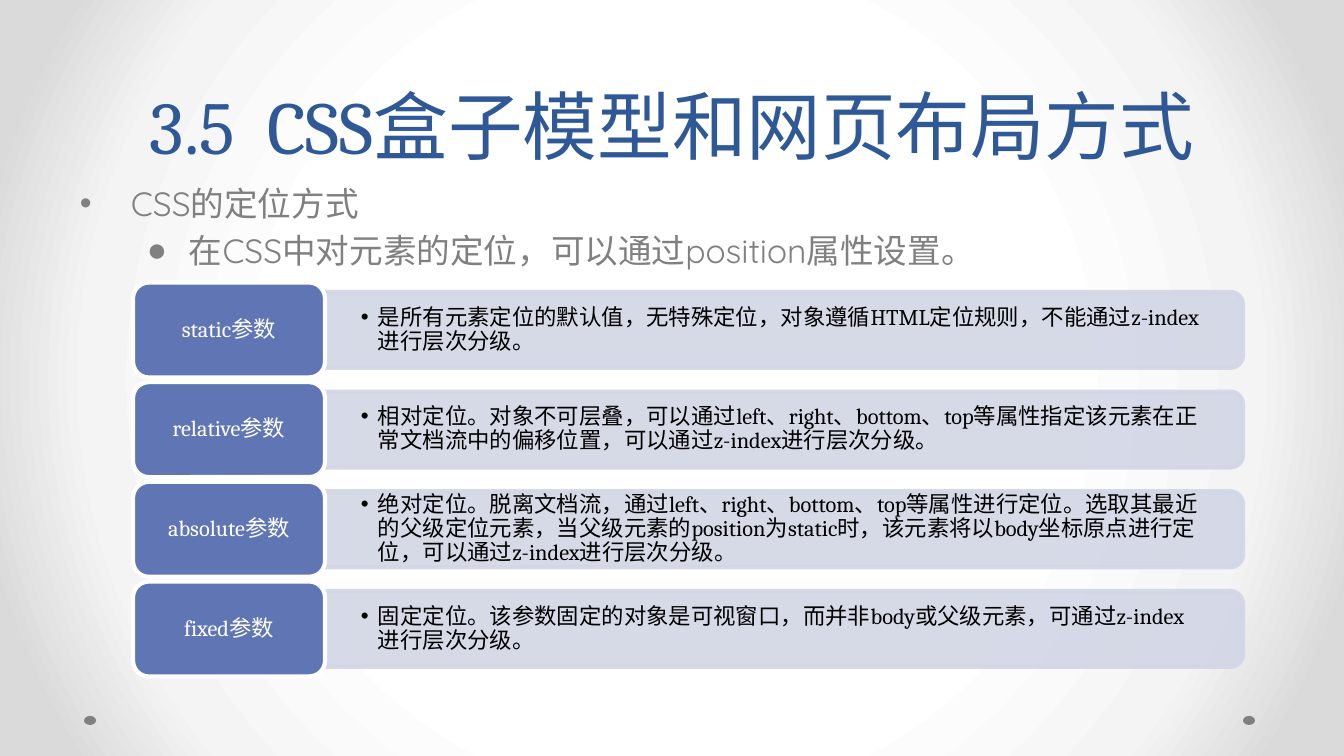
from lxml import etree
from pptx import Presentation, util as u
from pptx.dml.color import RGBColor
from pptx.enum import shapes, text
from pptx.oxml import parse_xml
from pptx.oxml.ns import nsdecls, qn

TITLE = "3.5  CSS盒子模型和网页布局方式"
INTRO = [
    ("CSS的定位方式", "•", 51, 51, 0),
    ("在CSS中对元素的定位，可以通过position属性设置。", "●", 109, 42, 3.6),
]
PARAMETERS = [
    ("static参数", "是所有元素定位的默认值，无特殊定位，对象遵循HTML定位规则，不能通过z-index进行层次分级。"),
    ("relative参数", "相对定位。对象不可层叠，可以通过left、right、bottom、top等属性指定该元素在正常文档流中的偏移位置，可以通过z-index进行层次分级。"),
    ("absolute参数", "绝对定位。脱离文档流，通过left、right、bottom、top等属性进行定位。选取其最近的父级定位元素，当父级元素的position为static时，该元素将以body坐标原点进行定位，可以通过z-index进行层次分级。"),
    ("fixed参数", "固定定位。该参数固定的对象是可视窗口，而并非body或父级元素，可通过z-index进行层次分级。"),
]
BACKGROUND = [(50, "FFFFFF"), (76, "F4F4F4"), (92, "DADADA")]

NAVY = RGBColor(0x2F, 0x58, 0x97)
GREY = RGBColor(0x80, 0x80, 0x80)
BLUE = RGBColor(0x60, 0x76, 0xB4)
PALE = RGBColor(0xD2, 0xD6, 0xE5)
WHITE = RGBColor(0xFF, 0xFF, 0xFF)
BLACK = RGBColor(0, 0, 0)

SLIDE_W, SLIDE_H = 1344, 756
LABEL_X, LABEL_W, LABEL_H = 133, 192, 95
BAR_X, BAR_W, BAR_H = 325, 918, 76
DETAIL_W, DETAIL_H = 914, 69
FIRST_MIDDLE, LAST_MIDDLE = 330, 629


def px(length):
    return u.Emu(round(length * 914400 / 134.4))


def box(x, y, w, h):
    return px(x), px(y), px(w), px(h)


def write(paragraph, words, size=12, font="Cambria", color=BLACK, align=text.PP_ALIGN.LEFT,
          spacing=None, before=0, bullet=None, margin=0, hanging=0):
    if bullet:
        props = paragraph._p.get_or_add_pPr()
        props.set("marL", str(px(margin)))
        props.set("indent", str(-px(hanging)))
        etree.SubElement(props, qn("a:buFont")).set("typeface", "Arial")
        etree.SubElement(props, qn("a:buChar")).set("char", bullet)
    paragraph.alignment = align
    paragraph.space_before = u.Pt(before)
    if spacing:
        paragraph.line_spacing = spacing
    run = paragraph.add_run()
    run.text = words
    run.font.size, run.font.name = u.Pt(size), font
    run.font.color.rgb = color


def set_frame(frame, anchor, across=13, down=7):
    frame.word_wrap = True
    frame.auto_size = text.MSO_AUTO_SIZE.NONE
    frame.vertical_anchor = anchor
    frame.margin_left = frame.margin_right = px(across)
    frame.margin_top = frame.margin_bottom = px(down)
    return frame


def add_shape(kind, place, fill, line=None):
    shape = slide.shapes.add_shape(kind, *place)
    shape.shadow.inherit = False
    shape.fill.solid()
    shape.fill.fore_color.rgb = fill
    if line is None:
        shape.line.fill.background()
    else:
        shape.line.color.rgb = line
        shape.line.width = u.Pt(2.25)
    return shape


def add_background():
    stops = "".join(f'<a:gs pos="{pos * 1000}"><a:srgbClr val="{color}"/></a:gs>'
                    for pos, color in BACKGROUND)
    slide.element.cSld.insert(0, parse_xml(
        f'<p:bg {nsdecls("p", "a")}><p:bgPr><a:gradFill rotWithShape="1"><a:gsLst>{stops}</a:gsLst>'
        '<a:path path="circle"><a:fillToRect l="50000" t="50000" r="50000" b="50000"/></a:path>'
        '</a:gradFill><a:effectLst/></p:bgPr></p:bg>'))


def add_parameter(name, detail, middle):
    bar = add_shape(shapes.MSO_SHAPE.ROUND_2_SAME_RECTANGLE,
                    box(BAR_X + (BAR_W - BAR_H) / 2, middle - BAR_W / 2, BAR_H, BAR_W), PALE, PALE)
    bar.rotation = 90
    for color in bar._element.spPr.iter(qn("a:srgbClr")):
        etree.SubElement(color, qn("a:alpha")).set("val", "90000")

    description = slide.shapes.add_textbox(*box(BAR_X, middle - DETAIL_H / 2, DETAIL_W, DETAIL_H))
    frame = set_frame(description.text_frame, text.MSO_ANCHOR.MIDDLE, 36, 19)
    write(frame.paragraphs[0], detail, spacing=0.9, bullet="•", margin=17, hanging=17)

    label = add_shape(shapes.MSO_SHAPE.ROUNDED_RECTANGLE,
                      box(LABEL_X, middle - LABEL_H / 2, LABEL_W, LABEL_H), BLUE, WHITE)
    frame = set_frame(label.text_frame, text.MSO_ANCHOR.MIDDLE, 7, 4)
    write(frame.paragraphs[0], name, color=WHITE, align=text.PP_ALIGN.CENTER, spacing=0.9)


deck = Presentation()
deck.slide_width, deck.slide_height = px(SLIDE_W), px(SLIDE_H)
slide = deck.slides.add_slide(deck.slide_layouts[5])
add_background()

for dot_x in (1243, 84):
    add_shape(shapes.MSO_SHAPE.OVAL, box(dot_x, 716, 12, 9), GREY)

title = slide.shapes.title
title.left, title.top, title.width, title.height = box(67, 0, 1210, 176)
write(set_frame(title.text_frame, text.MSO_ANCHOR.BOTTOM).paragraphs[0], TITLE, size=40,
      color=NAVY, align=text.PP_ALIGN.CENTER, spacing=u.Pt(58))

intro = slide.shapes.add_textbox(*box(67, 176, 1210, 117))
frame = set_frame(intro.text_frame, text.MSO_ANCHOR.TOP)
for index, (words, bullet, margin, hanging, before) in enumerate(INTRO):
    paragraph = frame.add_paragraph() if index else frame.paragraphs[0]
    write(paragraph, words, size=18, font="Quicksand", color=GREY, before=before,
          bullet=bullet, margin=margin, hanging=hanging)

pitch = (LAST_MIDDLE - FIRST_MIDDLE) / (len(PARAMETERS) - 1)
for row, (name, detail) in enumerate(PARAMETERS):
    add_parameter(name, detail, FIRST_MIDDLE + row * pitch)

deck.save("out.pptx")
